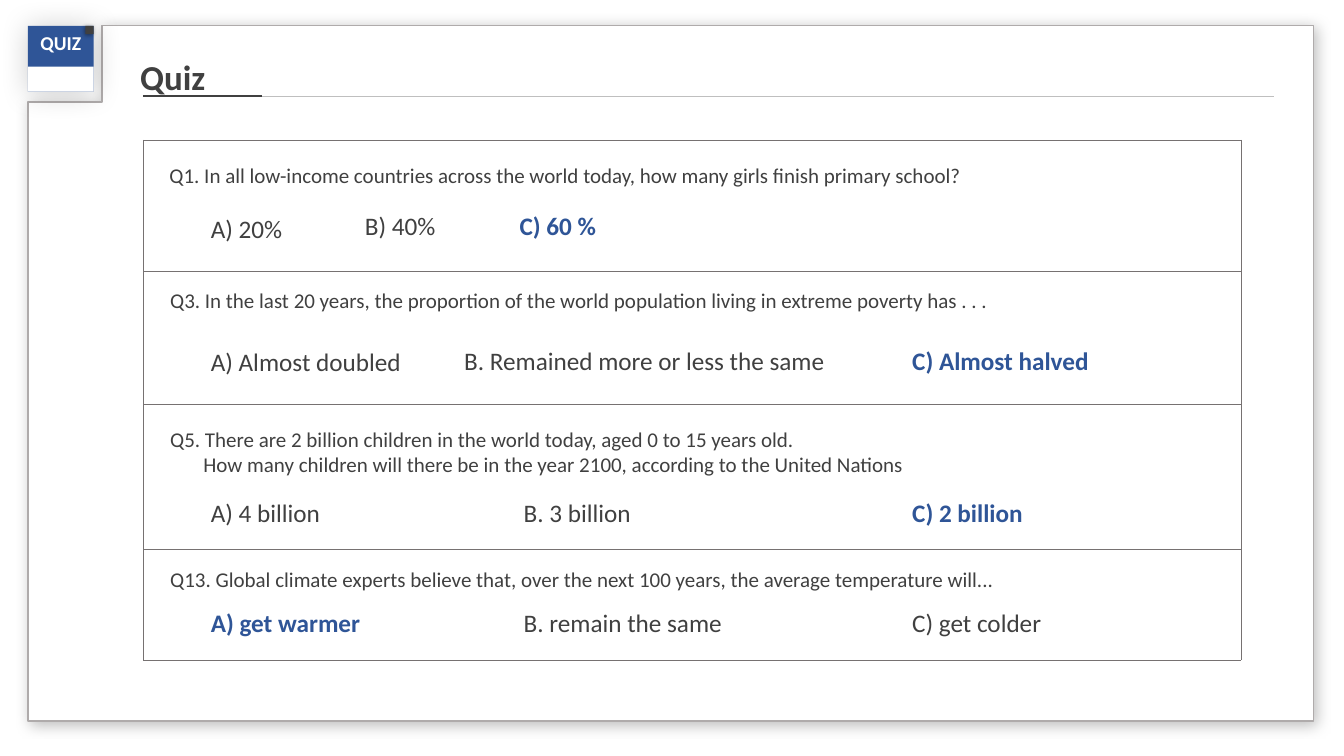
from lxml.etree import SubElement
from pptx import Presentation
from pptx.dml.color import RGBColor
from pptx.enum.shapes import MSO_CONNECTOR, MSO_SHAPE
from pptx.enum.text import PP_ALIGN
from pptx.oxml import parse_xml
from pptx.oxml.ns import nsdecls, qn
from pptx.util import Pt

COLORS = {name: RGBColor.from_string(value) for name, value in {
    "white": "FFFFFF",
    "text": "404040",
    "blue": "2F5597",
    "outline": "AFABAB",
    "rule": "BFBFBF",
    "border": "767171",
}.items()}


def add_text(left, top, width, height, lines, size, color="text", bold=False):
    box = slide.shapes.add_textbox(Pt(left), Pt(top), Pt(width), Pt(height))
    frame = box.text_frame
    frame.word_wrap = True
    frame.text = lines
    for para in frame.paragraphs:
        para.font.name = "Calibri"
        para.font.size = Pt(size)
        para.font.bold = bold
        para.font.color.rgb = COLORS[color]
    return frame


def add_shadow(shape, alpha, blur, distance, angle):
    """Give a shape a soft black shadow; alpha in percent, angle in degrees."""
    shape.shadow.inherit = False
    effects = shape._element.spPr.find(qn("a:effectLst"))
    effects.append(parse_xml(
        f'<a:outerShdw {nsdecls("a")} blurRad="{Pt(blur)}" dist="{Pt(distance)}" '
        f'dir="{angle * 60000}" algn="ctr" rotWithShape="0"><a:srgbClr val="000000">'
        f'<a:alpha val="{alpha * 1000}"/></a:srgbClr></a:outerShdw>'))


deck = Presentation()
deck.slide_width, deck.slide_height = Pt(960), Pt(540)
slide = deck.slides.add_slide(deck.slide_layouts[6])

# Page outline with a notch for the badge
builder = slide.shapes.build_freeform(73, 18.5, scale=Pt(1))
builder.add_line_segments([(938, 18.5), (938, 515), (20, 515), (20, 73), (73, 73)])
page = builder.convert_to_shape()
page.fill.solid()
page.fill.fore_color.rgb = COLORS["white"]
page.line.color.rgb = COLORS["outline"]
page.line.width = Pt(1)
add_shadow(page, 26, 10, 3, 45)

# Title and the rules below it
title = add_text(93, 21, 480, 47.5, "Quiz", 25, bold=True)
title.paragraphs[0].line_spacing = 1.5
for end, color, width in [(910, "rule", 0.5), (187.5, "text", 1.25)]:
    rule = slide.shapes.add_connector(
        MSO_CONNECTOR.STRAIGHT, Pt(102), Pt(68.5), Pt(end), Pt(68.5))
    rule.line.color.rgb = COLORS[color]
    rule.line.width = Pt(width)
    SubElement(rule._element.spPr, qn("a:effectLst"))

# Badge: left, top, width, height, fill, shadow, label
badge_parts = [
    (20, 18.5, 47, 47, "blue", (20, 21, 1, 90), "QUIZ"),
    (20, 47.5, 47, 18, "white", None, ""),
    (61, 18.5, 6, 6, "text", (40, 3, 1, 135), ""),
]
for left, top, width, height, color, shadow, label in badge_parts:
    part = slide.shapes.add_shape(
        MSO_SHAPE.RECTANGLE, Pt(left), Pt(top), Pt(width), Pt(height))
    part.fill.solid()
    part.fill.fore_color.rgb = COLORS[color]
    part.line.fill.background()
    part.shadow.inherit = False
    if shadow:
        add_shadow(part, *shadow)
    if label:
        part.text_frame.text = label
        part.text_frame.word_wrap = False
        part.text_frame.vertical_anchor = 1
        para = part.text_frame.paragraphs[0]
        para.alignment = PP_ALIGN.CENTER
        para.font.name = "Calibri"
        para.font.size = Pt(14)
        para.font.bold = True
        para.font.color.rgb = COLORS["white"]

# Table that frames the four questions
row_heights = [93.5, 95.5, 103.5, 79]
table = slide.shapes.add_table(
    len(row_heights), 1, Pt(102.5), Pt(100), Pt(784), Pt(sum(row_heights))).table
table.first_row = table.horz_banding = False
for row, height in zip(table.rows, row_heights):
    row.height = Pt(height)
    cell = row.cells[0]
    properties = cell._tc.get_or_add_tcPr()
    for side in ("lnL", "lnR", "lnT", "lnB"):
        border = SubElement(properties, qn(f"a:{side}"), w=str(Pt(0.25)))
        fill = SubElement(border, qn("a:solidFill"))
        SubElement(fill, qn("a:srgbClr"), val=str(COLORS["border"]))
    cell.fill.background()

# Question: left, top, height, wording, right answer, then answers as left, top, width, wording
questions = [
    (114, 112.5, 25,
     "Q1. In all low-income countries across the world today, how many girls finish primary school?",
     2, [(143.5, 148.5, 79, "A) 20%"), (253.5, 147, 79, "B) 40%"), (364, 147, 79, "C) 60 %")]),
    (114.5, 202, 25,
     "Q3. In the last 20 years, the proportion of the world population living in extreme poverty has . . .",
     2, [(143.5, 244, 168, "A) Almost doubled"),
         (324.5, 243, 307, "B. Remained more or less the same"),
         (644.5, 243, 186, "C) Almost halved")]),
    (114.5, 301, 44,
     "Q5. There are 2 billion children in the world today, aged 0 to 15 years old.\n"
     "How many children will there be in the year 2100, according to the United Nations",
     2, [(143.5, 352, 168, "A) 4 billion"), (367, 352, 127, "B. 3 billion"),
         (644.5, 352, 186, "C) 2 billion")]),
    (114.5, 401, 25,
     "Q13. Global climate experts believe that, over the next 100 years, the average temperature will...",
     0, [(143.5, 430.5, 168, "A) get warmer"), (367, 430.5, 179, "B. remain the same"),
         (644.5, 430.5, 186, "C) get colder")]),
]
for left, top, height, wording, right_answer, answers in questions:
    question = add_text(left, top, 731.5, height, wording, 15)
    for para in question.paragraphs[1:]:
        para._p.get_or_add_pPr().set("marL", str(Pt(23.75)))
    for index, (answer_left, answer_top, width, answer) in enumerate(answers):
        is_right = index == right_answer
        add_text(answer_left, answer_top, width, 29, answer, 18,
                 "blue" if is_right else "text", is_right)

deck.save("out.pptx")
